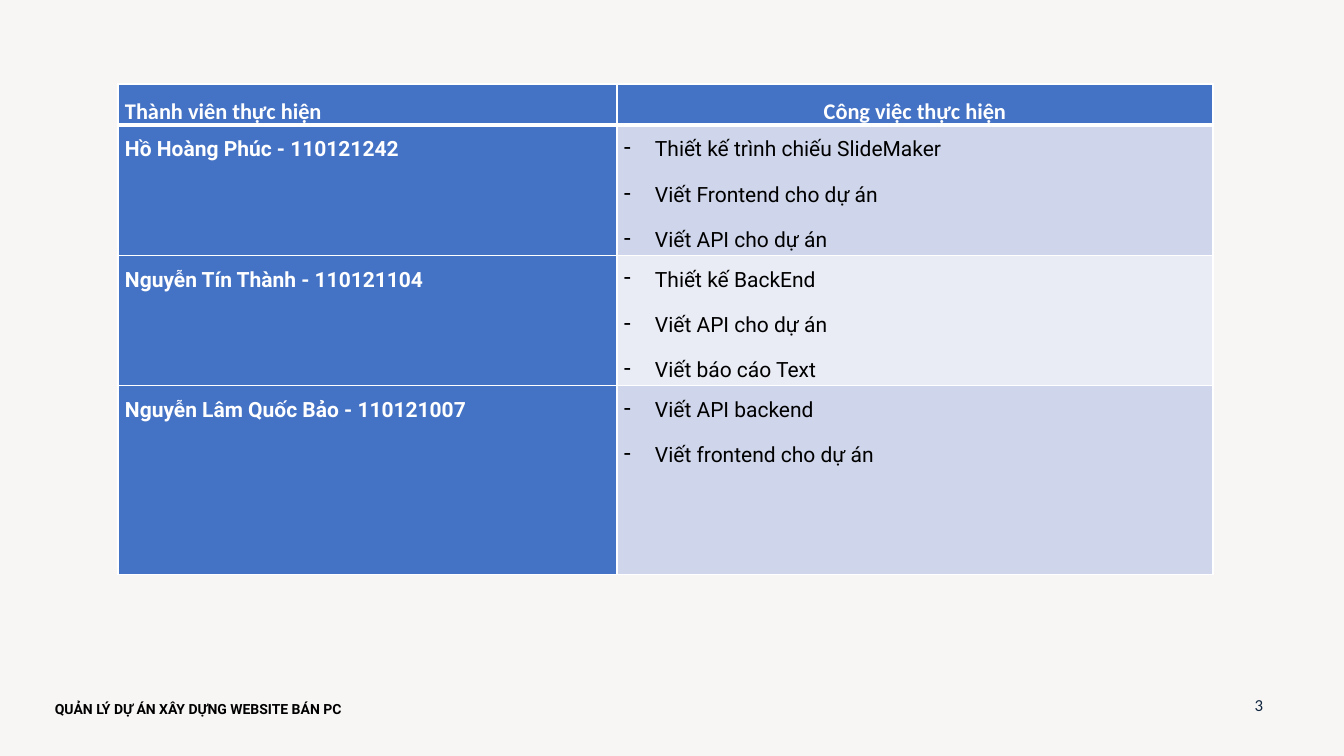
from lxml import etree
from pptx import Presentation
from pptx.dml.color import RGBColor
from pptx.enum.text import MSO_ANCHOR, PP_ALIGN
from pptx.oxml.ns import qn
from pptx.util import Pt

JUST, MID = PP_ALIGN.JUSTIFY, PP_ALIGN.CENTER
COLORS = {"back": "F8F6F5", "head": "4472C4", "odd": "CFD5EA", "even": "E9EBF5",
          "white": "FFFFFF", "black": "000000", "navy": "0F253E"}

HEADS = ["Thành viên thực hiện", "Công việc thực hiện"]
MEMBERS = [
    ("Hồ Hoàng Phúc - 110121242",
     ["Thiết kế trình chiếu SlideMaker", "Viết Frontend cho dự án", "Viết API cho dự án"]),
    ("Nguyễn Tín Thành - 110121104",
     ["Thiết kế BackEnd", "Viết API cho dự án", "Viết báo cáo Text"]),
    ("Nguyễn Lâm Quốc Bảo - 110121007",
     ["Viết API backend", "Viết frontend cho dự án"]),
]
FOOTER = "QUẢN LÝ DỰ ÁN XÂY DỰNG WEBSITE BÁN PC"
NUMBER = "3"

WIDTHS = [499, 596]
HEIGHTS = [41, 128, 128, 189]
LEFT, TOP = 118, 84
INDENT, INSET = 31, 7


def px(n):
    return round(n * 914400 / 100.8)


def rgb(name):
    return RGBColor.from_string(COLORS[name])


def style(para, size, face, color, bold=False):
    for run in para.runs:
        font = run.font
        font.size, font.name, font.bold = Pt(size), face, bold
        font.color.rgb = rgb(color)


def add_dash(para):
    props = para._p.get_or_add_pPr()
    props.set("marL", str(px(INDENT)))
    props.set("indent", str(-px(INDENT)))
    etree.SubElement(props, qn("a:buChar")).set("char", "-")


def add_edges(cell, row):
    """Draw white cell borders, thick between the header and the body."""
    props = cell._tc.get_or_add_tcPr()
    thick = {"lnB": 0, "lnT": 1}
    for side in ("lnL", "lnR", "lnT", "lnB"):
        line = etree.SubElement(props, qn("a:" + side))
        line.set("w", str(Pt(3 if thick.get(side) == row else 1)))
        fill = etree.SubElement(line, qn("a:solidFill"))
        etree.SubElement(fill, qn("a:srgbClr")).set("val", COLORS["white"])


def fill_cell(cell, row, lines, back, look, align=JUST, dash=False):
    add_edges(cell, row)
    cell.fill.solid()
    cell.fill.fore_color.rgb = rgb(back)
    cell.margin_left = cell.margin_right = px(INSET)
    cell.margin_top = cell.margin_bottom = 0
    frame = cell.text_frame
    frame.text = "\n".join(lines)
    for i, para in enumerate(frame.paragraphs):
        para.alignment, para.line_spacing = align, 1.5
        para.space_before, para.space_after = Pt(3 if i else 0), Pt(3)
        if dash:
            add_dash(para)
        style(para, *look)


def add_label(slide, text, box, look):
    frame = slide.shapes.add_textbox(*map(px, box)).text_frame
    frame.word_wrap = True
    frame.text = text
    style(frame.paragraphs[0], *look)
    return frame


def main():
    deck = Presentation()
    deck.slide_width, deck.slide_height = px(1344), px(756)
    slide = deck.slides.add_slide(deck.slide_layouts[6])
    slide.background.fill.solid()
    slide.background.fill.fore_color.rgb = rgb("back")

    number = add_label(slide, NUMBER, (1234, 685, 50, 40), (12, "Calibri", "navy"))
    number.vertical_anchor = MSO_ANCHOR.MIDDLE
    number.paragraphs[0].alignment = MID

    box = map(px, (LEFT, TOP, sum(WIDTHS), sum(HEIGHTS)))
    table = slide.shapes.add_table(len(HEIGHTS), len(WIDTHS), *box).table
    for col, width in zip(table.columns, WIDTHS):
        col.width = px(width)
    for row, height in zip(table.rows, HEIGHTS):
        row.height = px(height)

    for c, (head, align) in enumerate(zip(HEADS, (JUST, MID))):
        fill_cell(table.cell(0, c), 0, [head], "head", (16, "Calibri", "white", True), align)
    for r, (name, tasks) in enumerate(MEMBERS, 1):
        fill_cell(table.cell(r, 0), r, [name], "head", (15, "Roboto", "white", True))
        fill_cell(table.cell(r, 1), r, tasks, "odd" if r % 2 else "even",
                  (15, "Roboto", "black"), dash=True)

    add_label(slide, FOOTER, (45, 696, 339, 40), (10, "Roboto", "black", True))
    deck.save("out.pptx")


if __name__ == "__main__":
    main()
